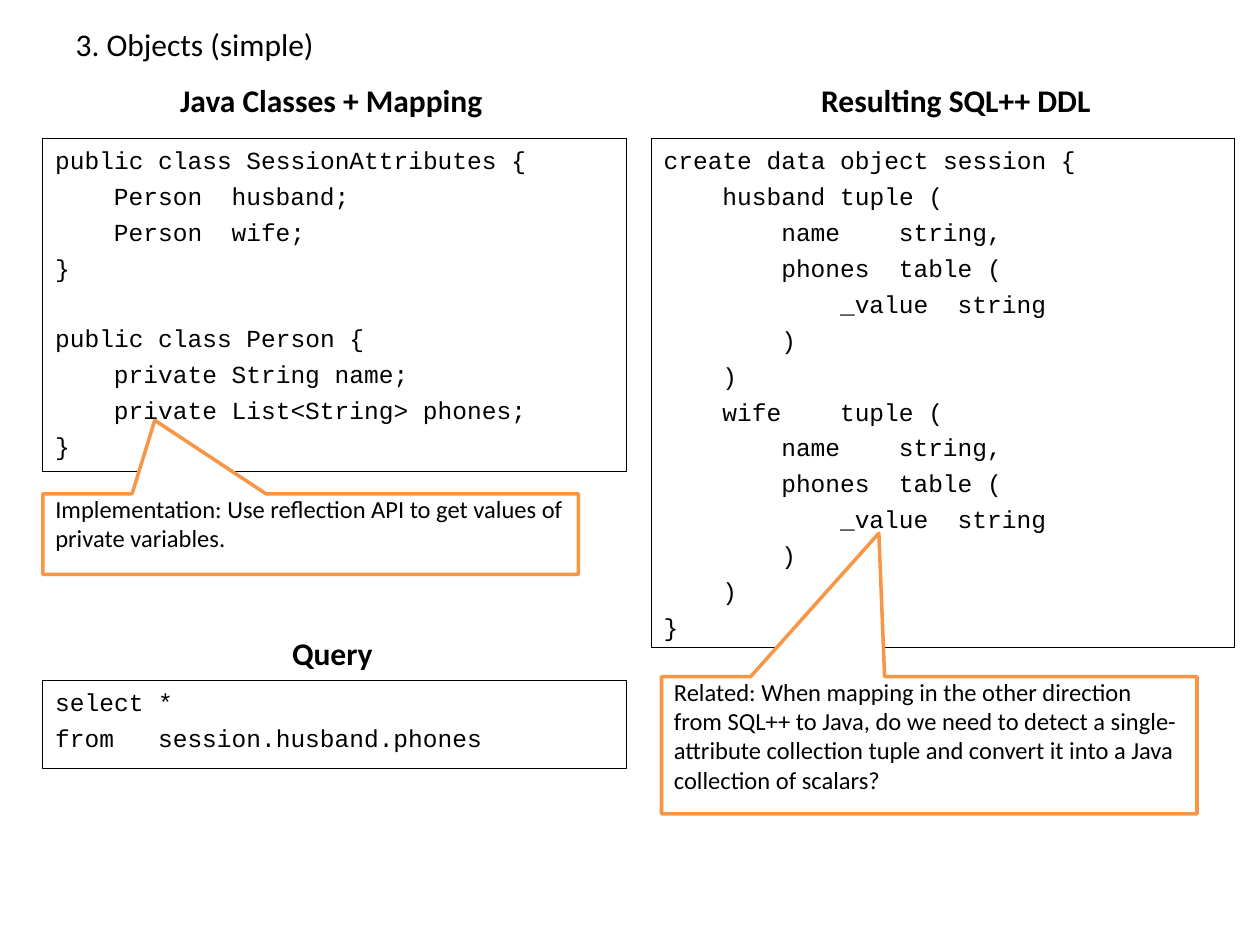
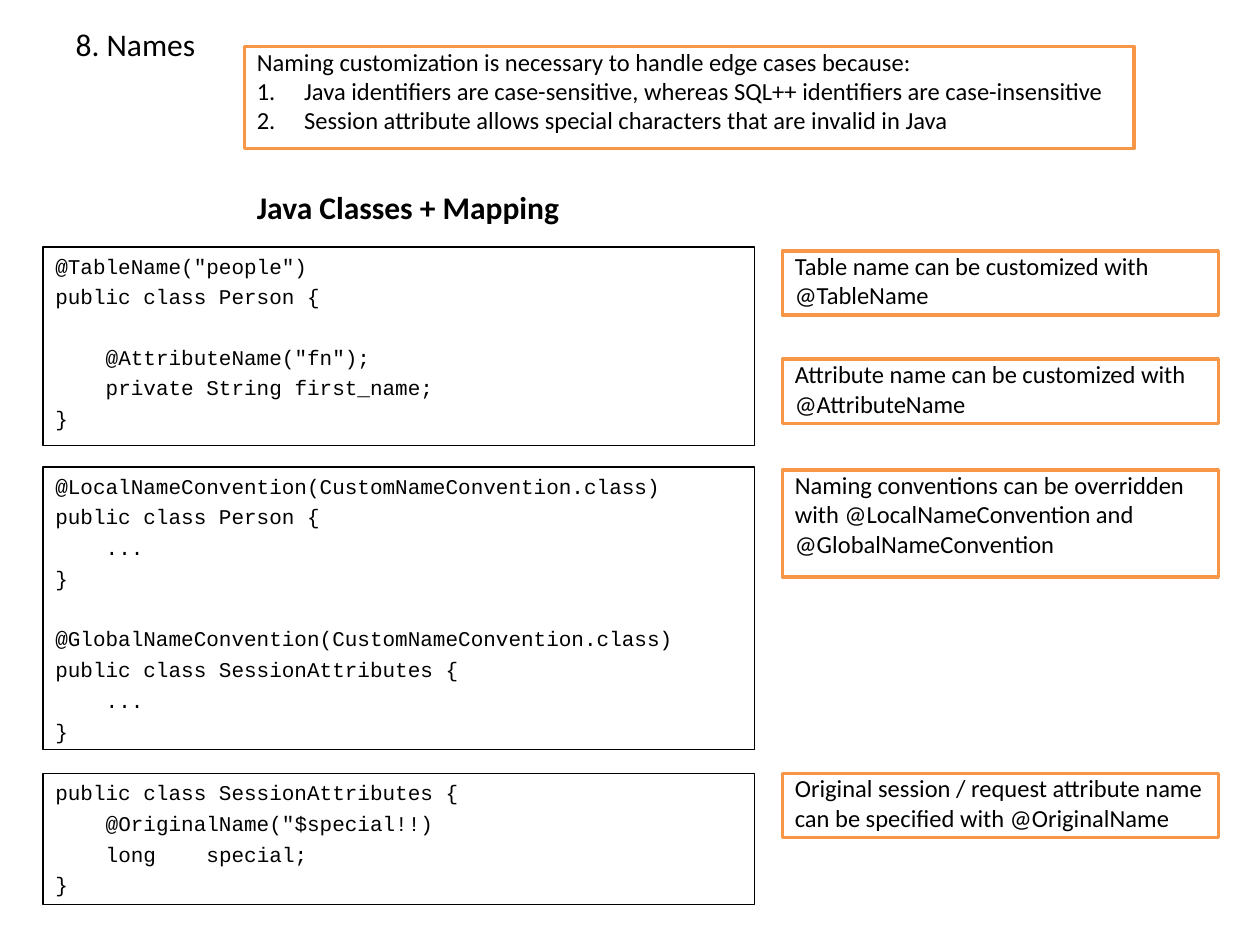
from itertools import groupby

from lxml.etree import SubElement
from pptx import Presentation
from pptx.dml.color import RGBColor
from pptx.enum.shapes import MSO_SHAPE
from pptx.enum.text import MSO_ANCHOR, MSO_AUTO_SIZE, PP_ALIGN
from pptx.oxml.ns import qn
from pptx.util import Pt

BLACK, WHITE, ORANGE = "000000", "FFFFFF", "F79646"
SANS, MONO = "Calibri", "Courier New"
LEFT = 24.5
CODE_WIDTH = 333.4
WIDE_CODE = 406.8
NOTE_LEFT, NOTE_WIDTH = 447.1, 249.1
CHARACTER, LINE, GAP = 0.6, 1.133, 0.267

PAGES = [
    {
        "title": "3. Objects (simple)",
        "code_size": 14,
        "headings": [
            ("Java Classes + Mapping", (95.8, 42.5, 190.1, 28.8)),
            ("Resulting SQL++ DDL", (462.2, 42.8, 169.9, 28.8)),
            ("Query", (159.8, 358.6, 61.2, 28.8)),
        ],
        "code": [
            ((LEFT, 79.2, CODE_WIDTH, 190.1), """\
public class SessionAttributes {
    Person  husband;
    Person  wife;
}

public class Person {
    private String name;
    private List<String> phones;
}"""),
            ((372.2, 79.2, CODE_WIDTH, 290.9), """\
create data object session {
    husband tuple (
        name    string,
        phones  table (
            _value  string
        )
    )
    wife    tuple (
        name    string,
        phones  table (
            _value  string
        )
    )
}"""),
            ((LEFT, 388.8, CODE_WIDTH, 50.4), """\
select *
from   session.husband.phones"""),
        ],
        "notes": [
            ((LEFT, 282.2, 306, 46.1), (-0.291, -1.412),
             ["Implementation: Use reflection API to get values of private variables."]),
            ((378, 386.6, 306, 78.5), (-0.094, -1.544),
             ["Related: When mapping in the other direction from SQL++ to Java, "
              "do we need to detect a single-attribute collection tuple and "
              "convert it into a Java collection of scalars?"]),
        ],
    },
    {
        "title": "8. Names",
        "code_size": 12,
        "headings": [("Java Classes + Mapping", (139.7, 104, 190.1, 28.8))],
        "code": [
            ((LEFT, 141.1, WIDE_CODE, 113.4), """\
@TableName("people")
public class Person {

    @AttributeName("fn");
    private String first_name;
}"""),
            ((LEFT, 266.8, WIDE_CODE, 161.5), """\
@LocalNameConvention(CustomNameConvention.class)
public class Person {
    ...
}

@GlobalNameConvention(CustomNameConvention.class)
public class SessionAttributes {
    ...
}"""),
            ((LEFT, 441.9, WIDE_CODE, 74.9), """\
public class SessionAttributes {
    @OriginalName("$special!!)
    long    special;
}"""),
        ],
        "notes": [
            ((NOTE_LEFT, 143.3, NOTE_WIDTH, 36.7), None,
             ["Table name can be customized with @TableName"]),
            ((NOTE_LEFT, 205.2, NOTE_WIDTH, 36.7), None,
             ["Attribute name can be customized with @AttributeName"]),
            ((139.7, 26.6, 508.3, 58.3), None,
             ["Naming customization is necessary to handle edge cases because:",
              "Java identifiers are case-sensitive, whereas SQL++ identifiers are case-insensitive",
              "Session attribute allows special characters that are invalid in Java"]),
            ((NOTE_LEFT, 268.6, NOTE_WIDTH, 61.2), None,
             ["Naming conventions can be overridden with @LocalNameConvention "
              "and @GlobalNameConvention"]),
            ((NOTE_LEFT, 441.9, NOTE_WIDTH, 36.7), None,
             ["Original session / request attribute name can be specified with @OriginalName"]),
        ],
    },
]


def color(value):
    return RGBColor.from_string(value)


def points(values):
    return [Pt(value) for value in values]


def write(frame, text, size=14, font=SANS, bold=False, before=0,
          hanging=0, numbered=False, stops=()):
    para = frame.paragraphs[0]
    if para.runs:
        para = frame.add_paragraph()
    para.alignment = PP_ALIGN.LEFT
    para.space_before = Pt(before)
    properties = para._p.get_or_add_pPr()
    if hanging:
        properties.set("marL", str(Pt(hanging)))
        properties.set("indent", str(-Pt(hanging)))
    if numbered:
        SubElement(properties, qn("a:buFont"), typeface="+mj-lt")
        SubElement(properties, qn("a:buAutoNum"), type="arabicPeriod")
    if stops:
        tabs = SubElement(properties, qn("a:tabLst"))
        for stop in stops:
            SubElement(tabs, qn("a:tab"), pos=str(Pt(stop)), algn="l")
    span = para.add_run()
    span.text = text
    span.font.size = Pt(size)
    span.font.name = font
    span.font.bold = bold
    span.font.color.rgb = color(BLACK)


def add_box(page, place, kind=MSO_SHAPE.RECTANGLE, fill=None, line=BLACK, weight=0.75):
    box = page.shapes.add_shape(kind, *points(place))
    box.shadow.inherit = False
    if fill:
        box.fill.solid()
        box.fill.fore_color.rgb = color(fill)
    else:
        box.fill.background()
    box.line.color.rgb = color(line)
    box.line.width = Pt(weight)
    box.text_frame.word_wrap = True
    box.text_frame.vertical_anchor = MSO_ANCHOR.TOP
    return box


def add_title(page, text):
    title = page.shapes.title
    title.left, title.top, title.width, title.height = points((36, 9.4, 648, 31))
    frame = title.text_frame
    frame.auto_size = MSO_AUTO_SIZE.NONE
    frame.vertical_anchor = MSO_ANCHOR.MIDDLE
    write(frame, text, size=18, hanging=40.5)


def add_heading(page, text, place):
    frame = page.shapes.add_textbox(*points(place)).text_frame
    frame.word_wrap = False
    frame.auto_size = MSO_AUTO_SIZE.SHAPE_TO_FIT_TEXT
    write(frame, text, size=18, bold=True)


def align_columns(line, size):
    text, column, stops = "", 0, []
    for blank, group in groupby(line, str.isspace):
        part = "".join(group)
        column += len(part)
        if blank and len(part) > 1:
            stops.append(column * CHARACTER * size)
            part = "\t"
        text += part
    return text, stops


def add_code(page, place, source, size):
    frame = add_box(page, place).text_frame
    before = GAP * size
    for line in source.splitlines():
        if not line:
            before += (LINE + GAP) * size
            continue
        text, stops = align_columns(line, size)
        write(frame, text, size=size, font=MONO, before=before, stops=stops)
        before = GAP * size


def add_note(page, place, pointer, lines):
    kind = MSO_SHAPE.RECTANGULAR_CALLOUT if pointer else MSO_SHAPE.RECTANGLE
    box = add_box(page, place, kind=kind, fill=WHITE, line=ORANGE, weight=2)
    if pointer:
        box.adjustments[0], box.adjustments[1] = pointer
    frame = box.text_frame
    frame.margin_top = frame.margin_bottom = Pt(0)
    write(frame, lines[0])
    for line in lines[1:]:
        write(frame, line, hanging=27, numbered=True)


deck = Presentation()
deck.slide_width, deck.slide_height = Pt(720), Pt(540)
for content in PAGES:
    page = deck.slides.add_slide(deck.slide_layouts[5])
    add_title(page, content["title"])
    for place, source in content["code"]:
        add_code(page, place, source, content["code_size"])
    for text, place in content["headings"]:
        add_heading(page, text, place)
    for place, pointer, lines in content["notes"]:
        add_note(page, place, pointer, lines)
deck.save("out.pptx")
